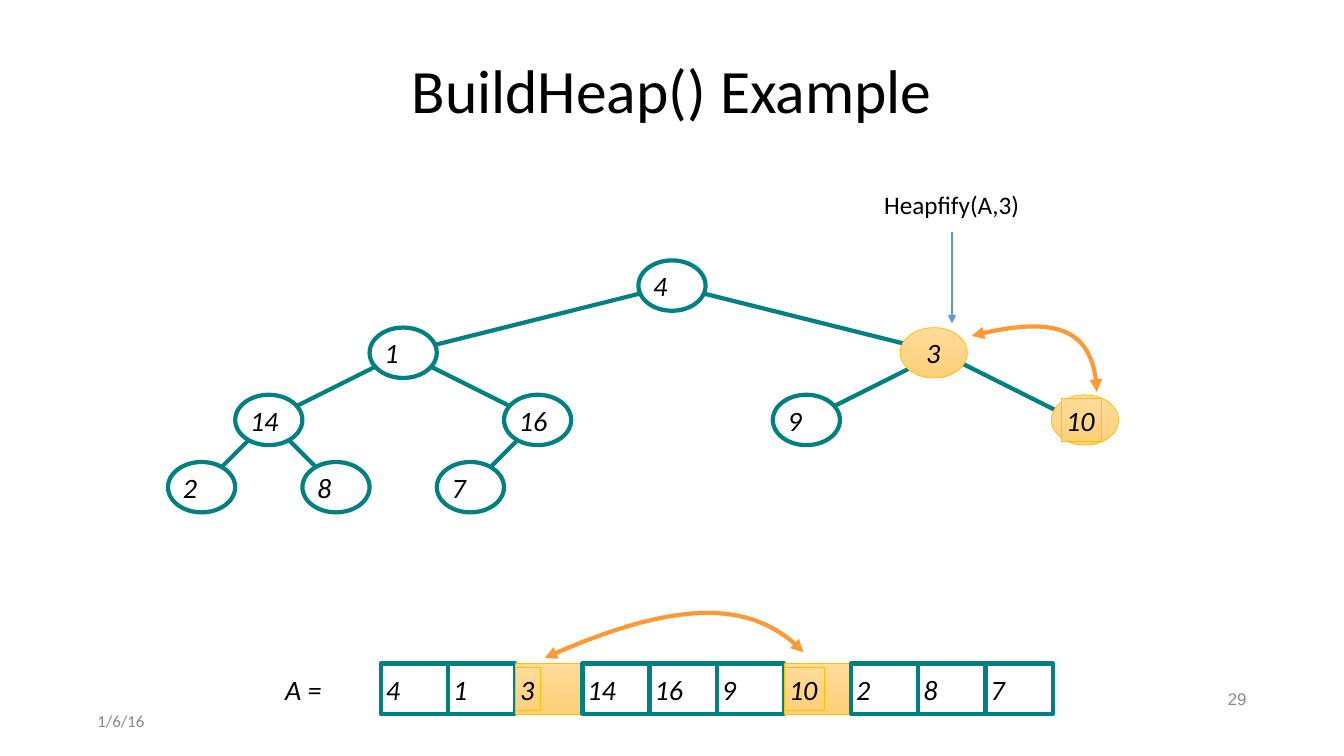
from math import hypot

from lxml import etree
from pptx import Presentation
from pptx.dml.color import RGBColor
from pptx.enum import shapes as kinds, text as txt
from pptx.oxml.ns import qn
from pptx.util import Pt

INK = {"teal": "008080", "white": "FFFFFF", "black": "000000", "grey": "888888",
       "light": "FFDB9B", "deep": "FFD078", "gold": "FFC000",
       "orange": "FF9933", "blue": "5B9BD5"}
WIDE, HIGH, STEP = 48, 36, 48      # size of a node or cell, and grid step
OVAL = kinds.MSO_SHAPE.OVAL
RECT = kinds.MSO_SHAPE.RECTANGLE
LEFT, MID, RIGHT = txt.PP_ALIGN.LEFT, txt.PP_ALIGN.CENTER, txt.PP_ALIGN.RIGHT

# key: (grid column, level)
NODES = {4: (9.5, 0), 1: (5.5, 1), 14: (3.5, 2), 16: (7.5, 2), 9: (11.5, 2),
         2: (2.5, 3), 8: (4.5, 3), 7: (6.5, 3), 3: (13.5, 1), 10: (15.5, 2)}
EDGES = [(4, 1), (1, 14), (14, 2), (14, 8), (1, 16), (16, 7),
         (4, 3), (3, 10), (3, 9)]
ARRAY = [4, 1, 3, 14, 16, 9, 10, 2, 8, 7]
SHIFT = {3: -5, 10: 7}             # swapped keys, moved off the grid


def ink(name):
    return RGBColor.from_string(INK[name])


def write(shape, words, size, color="black", align=LEFT, font="Calibri",
          slant=False, wrap=False, space=None, anchor=txt.MSO_ANCHOR.MIDDLE):
    frame = shape.text_frame
    frame.text = words
    frame.word_wrap = wrap
    frame.vertical_anchor = anchor
    frame.margin_left = frame.margin_right = Pt(3.6)
    frame.margin_top = frame.margin_bottom = Pt(3.6)
    para = frame.paragraphs[0]
    para.alignment = align
    if space:
        para.line_spacing = space
    face = para.runs[0].font
    face.name, face.size, face.italic = font, Pt(size), slant
    face.color.rgb = ink(color)


def note(slide, box, words, size, **style):
    area = slide.shapes.add_textbox(*map(Pt, box))
    write(area, words, size, **style)


def block(slide, kind, box, hot):
    shape = slide.shapes.add_shape(kind, *map(Pt, box))
    shape.shadow.inherit = False
    if hot:
        shape.fill.gradient()
        shape.fill.gradient_angle = 270
        for stop, name in zip(shape.fill.gradient_stops, ("light", "deep")):
            stop.color.rgb = ink(name)
    else:
        shape.fill.solid()
        shape.fill.fore_color.rgb = ink("white")
    shape.line.color.rgb = ink("gold" if hot else "teal")
    shape.line.width = Pt(0.5 if hot else 3)
    return shape


def label(slide, left, top, key, hot=False):
    box = left, top, 18 if key < 10 else 29, 31
    if hot:
        write(block(slide, RECT, box, True), str(key), 20, slant=True)
    else:
        note(slide, box, str(key), 20, slant=True)


def tip(shape, *ends):
    """Put an arrowhead on each named end of a line."""
    stroke = shape._element.spPr.find(qn("a:ln"))
    for end in ends:
        etree.SubElement(stroke, qn("a:" + end), type="triangle")


def link(slide, start, end, color, width):
    line = slide.shapes.add_connector(kinds.MSO_CONNECTOR.STRAIGHT,
                                      *map(Pt, (*start, *end)))
    line.line.color.rgb = ink(color)
    line.line.width = Pt(width)
    etree.SubElement(line._element.spPr, qn("a:effectLst"))
    return line


def swap(slide, *knots):
    """Draw a double-headed cubic curve through four control points."""
    def spot(t):
        parts = ((1 - t) ** 3, 3 * t * (1 - t) ** 2, 3 * t * t * (1 - t), t ** 3)
        return tuple(Pt(sum(p * k[i] for p, k in zip(parts, knots)))
                     for i in (0, 1))

    pen = slide.shapes.build_freeform(*spot(0))
    pen.add_line_segments([spot(n / 40) for n in range(1, 41)], close=False)
    arc = pen.convert_to_shape()
    route = arc._element.spPr.find(".//" + qn("a:path"))
    for part in route.findall(qn("a:lnTo")):
        route.remove(part)
    curve = etree.SubElement(route, qn("a:cubicBezTo"))
    for x, y in knots[1:]:
        etree.SubElement(curve, qn("a:pt"), x=str(Pt(x) - arc.left),
                         y=str(Pt(y) - arc.top))
    arc.shadow.inherit = False
    arc.fill.background()
    arc.line.color.rgb = ink("orange")
    arc.line.width = Pt(3)
    tip(arc, "headEnd", "tailEnd")


def tree(slide, left, top):
    def hub(key):
        col, level = NODES[key]
        return left + col * STEP + WIDE / 2, top + level * STEP + HIGH / 2

    def rim(key, other):
        """Point where the edge to the other node leaves this one."""
        (x, y), (ox, oy) = hub(key), hub(other)
        if key in SHIFT:
            return x, y
        ratio = 1 / hypot((ox - x) / (WIDE / 2), (oy - y) / (HIGH / 2))
        return x + (ox - x) * ratio, y + (oy - y) * ratio

    def node(key):
        hot = key in SHIFT
        x, y = hub(key)
        x, y = x - WIDE / 2 + SHIFT.get(key, 0), y - HIGH / 2
        block(slide, OVAL, (x, y, WIDE, HIGH), hot)
        label(slide, x + (15 if key == 3 else 7), y + 2.5, key, key == 10)

    for key in NODES:
        if key not in SHIFT:
            node(key)
    for one, two in EDGES:
        link(slide, rim(one, two), rim(two, one), "teal", 3)
    for key in SHIFT:
        node(key)
    swap(slide, (left + 694, top + 54), (left + 753, top + 38.5),
         (left + 782.5, top + 52.5), (left + 783.5, top + 94))
    note(slide, (left + 628, top - 54, 104, 30), "Heapfify(A,3)", 18,
         anchor=txt.MSO_ANCHOR.TOP)
    arrow = link(slide, (left + 680, top - 20.5), (left + 680, top + 45),
                 "blue", 1)
    tip(arrow, "tailEnd")


def array(slide, left, top):
    note(slide, (left - 72, top + 2.5, 35, 31), "A =", 20, slant=True)
    for index, key in enumerate(ARRAY):
        x, hot = left + index * STEP, key in SHIFT
        block(slide, RECT, (x, top, WIDE, HIGH), hot)
        label(slide, x, top + 2.5, key, hot)
    swap(slide, (left + 117, top - 4), (left + 205.5, top - 44),
         (left + 267.5, top - 45.5), (left + 302, top - 8))


def frame(slide):
    """Place the title, date and page number."""
    title = slide.shapes.title
    title.left, title.top, title.width, title.height = map(
        Pt, (66, 28.5, 828, 77))
    write(title, "BuildHeap() Example", 44, align=MID, wrap=True, space=0.9)
    note(slide, (66, 504, 216, 21), "1/6/16", 12, color="grey", wrap=True)
    note(slide, (678, 489.5, 216, 21), "29", 12, color="grey", align=RIGHT,
         font="Arial", wrap=True, space=0.9)


def main():
    deck = Presentation()
    deck.slide_width, deck.slide_height = Pt(960), Pt(540)
    slide = deck.slides.add_slide(deck.slide_layouts[5])
    frame(slide)
    tree(slide, 0, 186)
    array(slide, 272, 474)
    deck.save("out.pptx")


if __name__ == "__main__":
    main()
